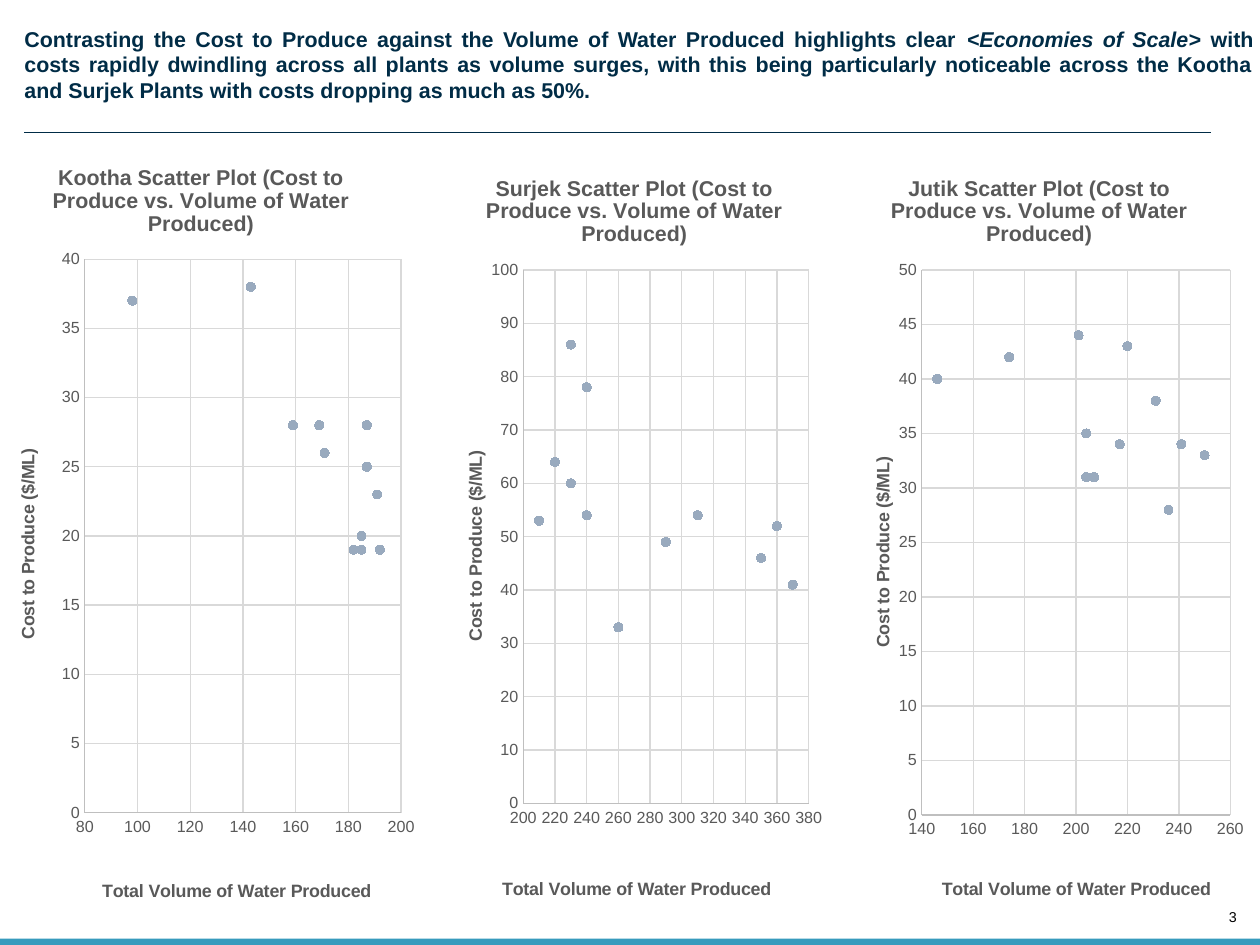
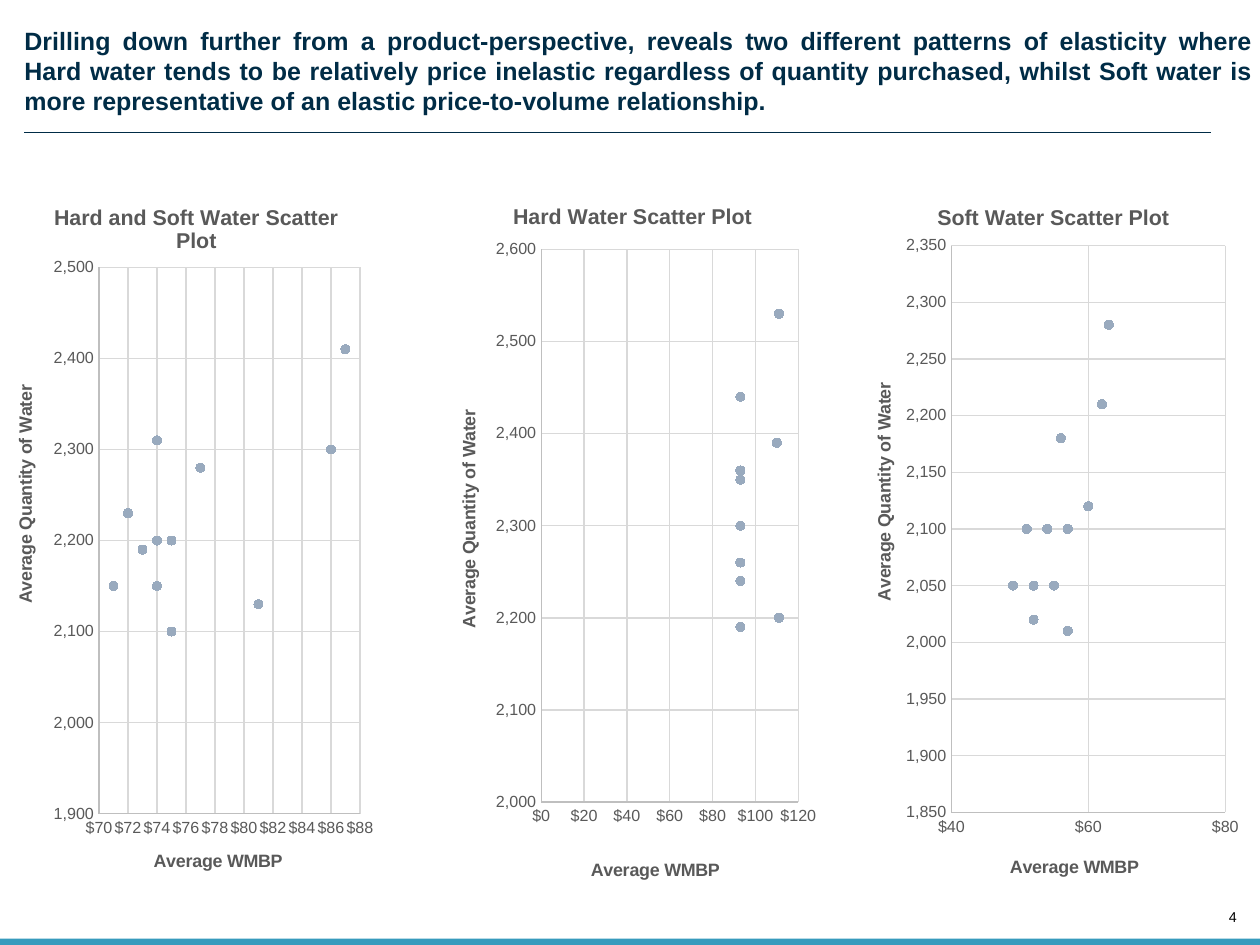
import dataclasses

import lxml.etree
import pptx
import pptx.chart.data
import pptx.dml.color
import pptx.enum.chart
import pptx.enum.shapes
import pptx.enum.text
import pptx.oxml.ns
import pptx.util

Inches = pptx.util.Inches
Pt = pptx.util.Pt
qn = pptx.oxml.ns.qn


@dataclasses.dataclass(frozen=True)
class Theme:
    font: str = "Arial"
    navy: str = "002C46"
    band: str = "379BBD"
    black: str = "000000"
    chart_text: str = "595959"
    axis_line: str = "BFBFBF"
    grid: str = "D9D9D9"
    dot: str = "99AABE"
    page_number: int = 8
    tick_label: int = 9
    axis_title: int = 10
    chart_title: int = 12
    hairline: float = 0.75
    dot_size: int = 5


THEME = Theme()
PAGE_WIDTH, PAGE_HEIGHT = 9.8, 7.35


@dataclasses.dataclass(frozen=True)
class Scatter:
    """Boxes are left, top, width, height; anchors are left, top; scales are low, high, step."""
    title: str
    box: tuple
    plot: tuple
    title_at: tuple
    x_title_at: tuple
    y_title_at: tuple
    x_scale: tuple
    y_scale: tuple
    x_values: tuple
    y_values: tuple


def color(code):
    return pptx.dml.color.RGBColor.from_string(code)


def style_font(font, size, code, bold=False, italic=False):
    font.name, font.size = THEME.font, Pt(size)
    font.bold, font.italic = bold, italic
    font.color.rgb = color(code)


def style_line(line, code):
    line.color.rgb = color(code)
    line.width = Pt(THEME.hairline)


def add_text(page, box, spans, size, code, align, bold=False, wrap=True, anchor="TOP"):
    """Spans are (text, italic) pairs; a lone newline is a line break."""
    frame = page.shapes.add_textbox(*map(Inches, box)).text_frame
    frame.word_wrap = wrap
    frame.vertical_anchor = pptx.enum.text.MSO_ANCHOR[anchor]
    frame.margin_left = frame.margin_top = frame.margin_right = frame.margin_bottom = 0
    para = frame.paragraphs[0]
    para.alignment = pptx.enum.text.PP_ALIGN[align]
    for text, italic in spans:
        if text == "\n":
            para.add_line_break()
            continue
        span = para.add_run()
        span.text = text
        style_font(span.font, size, code, bold, italic)


def add_frame(page, number):
    # Bottom band
    band = page.shapes.add_shape(
        pptx.enum.shapes.MSO_SHAPE.RECTANGLE,
        0, Inches(PAGE_HEIGHT - 0.05), Inches(PAGE_WIDTH), Inches(0.05))
    band.shadow.inherit = False
    band.fill.solid()
    band.fill.fore_color.rgb = color(THEME.band)
    band.line.fill.background()
    # Page number
    add_text(page, (9.48, 7.07, 0.14, 0.13), [(str(number), False)],
             THEME.page_number, THEME.black, "RIGHT", wrap=False, anchor="BOTTOM")
    # Rule under the headline
    rule = page.shapes.add_connector(
        pptx.enum.shapes.MSO_CONNECTOR.STRAIGHT,
        Inches(0.19), Inches(1.03), Inches(9.42), Inches(1.03))
    style_line(rule.line, THEME.navy)
    lxml.etree.SubElement(rule.element.spPr, qn("a:effectLst"))


def set_layout(parent, position, chart_box, target):
    """Fix a chart part at a slide position, given as left, top and optionally width, height."""
    for old in parent.findall(qn("c:layout")):
        parent.remove(old)
    layout = lxml.etree.Element(qn("c:layout"))
    manual = lxml.etree.SubElement(layout, qn("c:manualLayout"))
    left, top, width, height = chart_box
    fractions = [(target[0] - left) / width, (target[1] - top) / height]
    entries = [("xMode", "edge"), ("yMode", "edge")]
    if len(target) == 4:
        entries.insert(0, ("layoutTarget", "inner"))
        fractions += [target[2] / width, target[3] / height]
    entries += [(name, f"{part:.4f}") for name, part in zip("xywh", fractions)]
    for name, value in entries:
        lxml.etree.SubElement(manual, qn("c:" + name)).set("val", value)
    parent.insert(position, layout)


def write_title(title, text, size, chart_box, target):
    span = title.text_frame.paragraphs[0].add_run()
    span.text = text
    style_font(span.font, size, THEME.chart_text, bold=True)
    set_layout(title.element, 1, chart_box, target)


def style_axis(axis, scale, number_format, text, chart_box, title_at):
    axis.minimum_scale, axis.maximum_scale, axis.major_unit = scale
    axis.has_major_gridlines = True
    axis.has_minor_gridlines = False
    style_line(axis.major_gridlines.format.line, THEME.grid)
    style_line(axis.format.line, THEME.axis_line)
    axis.major_tick_mark = axis.minor_tick_mark = pptx.enum.chart.XL_TICK_MARK.NONE
    axis.tick_labels.number_format = number_format
    axis.tick_labels.number_format_is_linked = False
    style_font(axis.tick_labels.font, THEME.tick_label, THEME.chart_text)
    axis.has_title = True
    write_title(axis.axis_title, text, THEME.axis_title, chart_box, title_at)


def add_scatter(page, scatter, x_title, x_format, y_title, y_format):
    box = scatter.box
    data = pptx.chart.data.XyChartData()
    points = data.add_series(scatter.title)
    for x, y in zip(scatter.x_values, scatter.y_values):
        points.add_data_point(x, y)
    chart = page.shapes.add_chart(
        pptx.enum.chart.XL_CHART_TYPE.XY_SCATTER, *map(Inches, box), data).chart
    chart.has_legend = False
    style_font(chart.font, THEME.axis_title, THEME.black)
    plot = chart.plots[0]
    plot.vary_by_categories = False
    # Title and plot area
    chart.has_title = True
    write_title(chart.chart_title, scatter.title, THEME.chart_title, box, scatter.title_at)
    set_layout(chart.element.find(".//" + qn("c:plotArea")), 0, box, scatter.plot)
    # Axes
    style_axis(chart.category_axis, scatter.x_scale, x_format, x_title, box, scatter.x_title_at)
    style_axis(chart.value_axis, scatter.y_scale, y_format, y_title, box, scatter.y_title_at)
    body = chart.value_axis.axis_title.element.find(".//" + qn("a:bodyPr"))
    body.set("rot", "-5400000")
    body.set("vert", "horz")
    # Dots
    series = plot.series[0]
    series.smooth = False
    series.format.line.fill.background()
    series.marker.style = pptx.enum.chart.XL_MARKER_STYLE.CIRCLE
    series.marker.size = THEME.dot_size
    series.marker.format.fill.solid()
    series.marker.format.fill.fore_color.rgb = color(THEME.dot)
    style_line(series.marker.format.line, THEME.dot)


def add_scatter_page(deck, number, headline, headline_size, headline_height, axes, scatters):
    page = deck.slides.add_slide(deck.slide_layouts[6])
    add_frame(page, number)
    add_text(page, (0.19, 0.2, 9.56, headline_height), headline,
             headline_size, THEME.navy, "JUSTIFY", bold=True)
    for scatter in scatters:
        add_scatter(page, scatter, *axes)


PLANT_HEADLINE = [
    ("Contrasting the Cost to Produce against the Volume of Water Produced highlights clear ", False),
    ("<Economies of Scale>", True),
    (" with costs rapidly dwindling across all plants as volume surges, with this being "
     "particularly noticeable across the Kootha and Surjek Plants with costs dropping "
     "as much as 50%.", False),
]
PLANT_AXES = ("Total Volume of Water Produced", "0", "Cost to Produce ($/ML)", "0")
PLANT_TITLE = "{} Scatter Plot (Cost to Produce vs. Volume of Water Produced)"
PLANTS = [
    Scatter(PLANT_TITLE.format("Kootha"),
            (0, 1.03, 3.29, 6.02), (0.66, 2.02, 2.46, 4.32),
            (0.38, 1.25), (0.77, 6.83), (0.1, 3.48),
            (80, 200, 20), (0, 40, 5),
            (182, 187, 185, 192, 98, 185, 187, 159, 191, 171, 169, 143),
            (19, 25, 20, 19, 37, 19, 28, 28, 23, 26, 28, 38)),
    Scatter(PLANT_TITLE.format("Surjek"),
            (3.34, 1.1, 3.12, 6.05), (4.07, 2.1, 2.22, 4.15),
            (3.75, 1.33), (3.88, 6.8), (3.58, 3.48),
            (200, 380, 20), (0, 100, 10),
            (210, 230, 220, 240, 230, 240, 290, 310, 370, 350, 360, 260),
            (53, 60, 64, 78, 86, 54, 49, 54, 41, 46, 52, 33)),
    Scatter(PLANT_TITLE.format("Jutik"),
            (6.51, 1.1, 3.23, 5.95), (7.17, 2.1, 2.4, 4.24),
            (6.9, 1.33), (7.3, 6.8), (6.75, 3.53),
            (140, 260, 20), (0, 50, 5),
            (250, 207, 201, 174, 204, 146, 204, 217, 231, 236, 241, 220),
            (33, 31, 44, 42, 31, 40, 35, 34, 38, 28, 34, 43)),
]

WATER_HEADLINE = [
    ("Drilling down further from a product-perspective, reveals two different patterns "
     "of elasticity where", False),
    ("\n", False),
    ("Hard water tends to be relatively price inelastic regardless of quantity purchased, "
     "whilst Soft water is more representative of an elastic price-to-volume relationship.", False),
]
WATER_AXES = ("Average WMBP", '"$"#,##0', "Average Quantity of Water", "#,##0")
WATERS = [
    Scatter("Hard and Soft Water Scatter Plot",
            (-0.03, 1.33, 3.05, 5.82), (0.77, 2.08, 2.03, 4.25),
            (0.39, 1.56), (1.17, 6.58), (0.08, 2.97),
            (70, 88, 2), (1900, 2500, 100),
            (86, 87, 81, 73, 71, 72, 77, 75, 74, 75, 74, 74),
            (2300, 2410, 2130, 2190, 2150, 2230, 2280, 2200, 2150, 2100, 2200, 2310)),
    Scatter("Hard Water Scatter Plot",
            (3.36, 1.32, 3.05, 5.65), (4.21, 1.94, 2, 4.3),
            (3.96, 1.55), (4.57, 6.65), (3.53, 3.16),
            (0, 120, 20), (2000, 2600, 100),
            (110, 111, 111, 93, 93, 93, 93, 93, 93, 93, 93, 93),
            (2390, 2530, 2200, 2350, 2240, 2360, 2440, 2300, 2260, 2190, 2300, 2440)),
    Scatter("Soft Water Scatter Plot",
            (6.6, 1.32, 3.15, 5.91), (7.4, 1.91, 2.13, 4.41),
            (7.26, 1.56), (7.83, 6.63), (6.76, 2.95),
            (40, 80, 20), (1850, 2350, 50),
            (62, 63, 52, 52, 49, 51, 60, 57, 55, 57, 54, 56),
            (2210, 2280, 2050, 2020, 2050, 2100, 2120, 2100, 2050, 2010, 2100, 2180)),
]


def main():
    deck = pptx.Presentation()
    deck.slide_width, deck.slide_height = Inches(PAGE_WIDTH), Inches(PAGE_HEIGHT)
    add_scatter_page(deck, 3, PLANT_HEADLINE, 12, 0.61, PLANT_AXES, PLANTS)
    add_scatter_page(deck, 4, WATER_HEADLINE, 14, 0.71, WATER_AXES, WATERS)
    deck.save("out.pptx")


if __name__ == "__main__":
    main()
